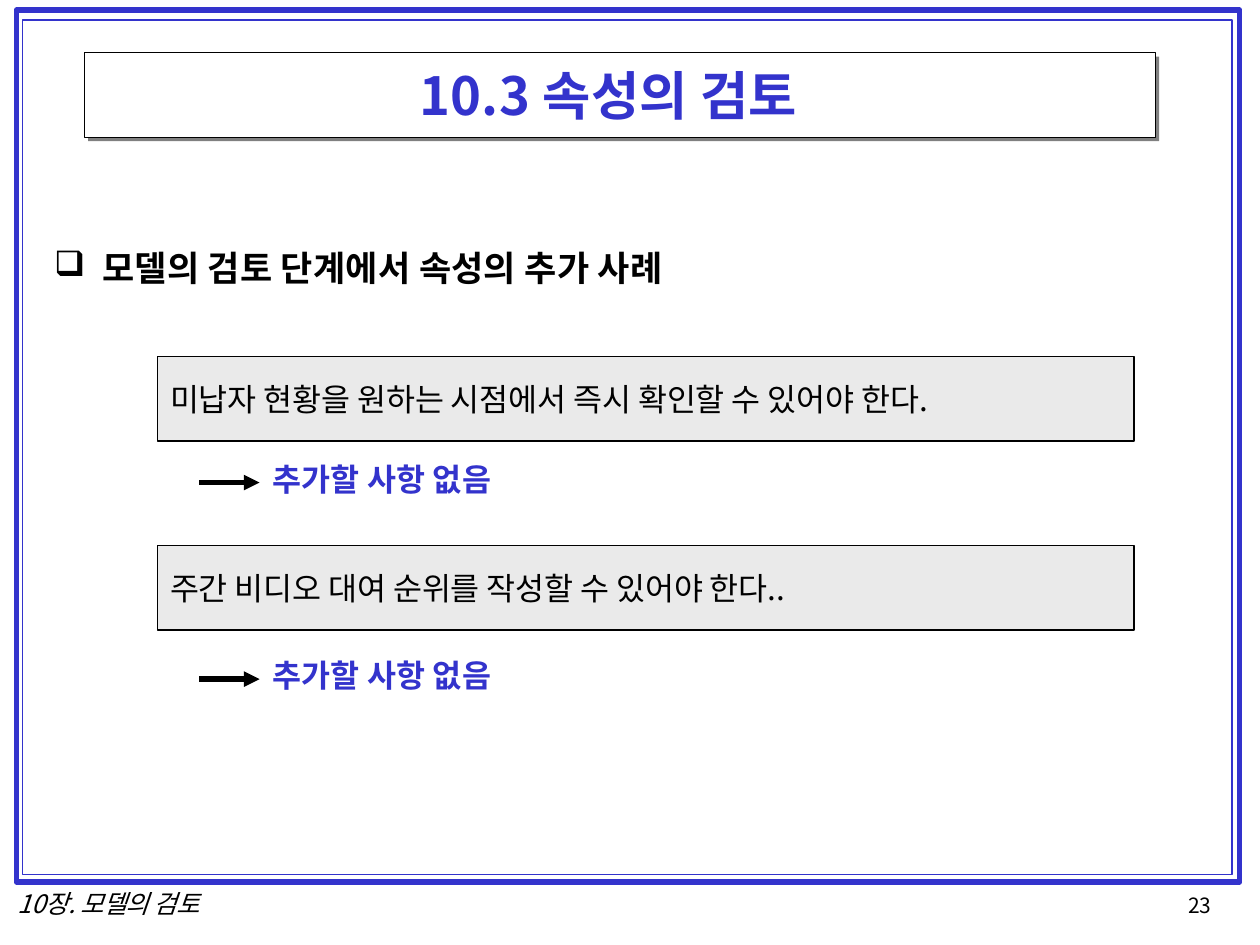
from pptx import Presentation
from pptx.util import Inches, Pt
from pptx.dml.color import RGBColor as RGB
from pptx.enum.shapes import MSO_SHAPE as Shape, MSO_CONNECTOR as Link
from pptx.enum.text import MSO_ANCHOR as Anchor, PP_ALIGN as Align
from pptx.oxml.ns import qn
from lxml.etree import SubElement as Sub

# Content
TITLE = "10.3 속성의 검토"
HEAD = "모델의 검토 단계에서 속성의 추가 사례"
# need, answer, top of the answer
CASES = [
    ("미납자 현황을 원하는 시점에서 즉시 확인할 수 있어야 한다.", "추가할 사항 없음", 3.65),
    ("주간 비디오 대여 순위를 작성할 수 있어야 한다..", "추가할 사항 없음", 5.21),
]
FOOT, PAGE = "10장. 모델의 검토", "23"

# Look
FONT = "Noto Sans CJK KR"
HEX = dict(blue="3333CC", black="000000", gray="808080", pale="EAEAEA", white="FFFFFF")
COLOR = {name: RGB.from_string(code) for name, code in HEX.items()}

# Layout, in inches
W, H = 10, 7.5
FRAMES = [((0.13, 0.08, 9.71, 6.92), 3), ((0.18, 0.16, 9.6, 6.78), 0.96)]
BAR = (0.67, 0.42, 8.5, 0.67)
DROP = 0.03
BOX_X, BOX_Y, BOX_W, BOX_H, STEP = 1.25, 2.83, 7.75, 0.67, 1.5
ARROW = (1.58, 2.06)

deck = Presentation()
deck.slide_width, deck.slide_height = Inches(W), Inches(H)
slide = deck.slides.add_slide(deck.slide_layouts[6])
shapes = slide.shapes


def rect(at, fill=None, line=None, width=0.72):
    box = shapes.add_shape(Shape.RECTANGLE, *map(Inches, at))
    box.shadow.inherit = False
    if fill:
        box.fill.solid()
        box.fill.fore_color.rgb = COLOR[fill]
    else:
        box.fill.background()
    if line:
        box.line.color.rgb = COLOR[line]
        box.line.width = Pt(width)
    else:
        box.line.fill.background()
    return box


def write(box, text, size, color="black", bold=False, italic=False,
          track=0, left=0, hang=0, before=0, lead=None, mark=None):
    frame = box.text_frame
    frame.word_wrap = True
    frame.margin_left = frame.margin_right = frame.margin_bottom = 0
    frame.margin_top = 0
    para = frame.paragraphs[0]
    para.text = text
    para.alignment = Align.LEFT
    para.space_before = Pt(before)
    if lead:
        para.line_spacing = Pt(lead)
    props = para._p.get_or_add_pPr()
    props.set("marL", str(Inches(left)))
    props.set("indent", str(Inches(hang)))
    if mark:
        Sub(props, qn("a:buChar"), char=mark)
    run = para.runs[0]
    font = run.font
    font.name, font.size = FONT, Pt(size)
    font.bold, font.italic = bold, italic
    font.color.rgb = COLOR[color]
    look = run._r.get_or_add_rPr()
    look.set("spc", str(round(track * 100)))
    Sub(look, qn("a:ea"), typeface=FONT)
    return frame


def label(at, text, size, **style):
    return write(shapes.add_textbox(*map(Inches, at)), text, size, **style)


def arrow(y):
    start, end = ARROW
    link = shapes.add_connector(
        Link.STRAIGHT, Inches(start), Inches(y), Inches(end), Inches(y))
    link.line.color.rgb = COLOR["black"]
    link.line.width = Pt(3)
    Sub(link.line._get_or_add_ln(), qn("a:tailEnd"), type="triangle")
    Sub(link._element.spPr, qn("a:effectLst"))


# Page frame
for at, width in FRAMES:
    rect(at, line="blue", width=width)

# Title bar with its hard shadow
x, y, w, h = BAR
rect((x + DROP, y + DROP, w, h), fill="gray")
rect(BAR, fill="white", line="black")
label((x, 0.5, w, 0.53), TITLE, 30, color="blue", bold=True,
      track=0.15, left=2.66, before=1)

# Heading
label((0.42, 1.96, 5.22, 0.36), HEAD, 20, bold=True, track=0.15,
      left=0.39, hang=-0.38, before=1, mark="❑")

# Needs and answers
for i, (need, answer, top) in enumerate(CASES):
    box = rect((BOX_X, BOX_Y + i * STEP, BOX_W, BOX_H), fill="pale", line="black")
    write(box, need, 18, left=0.1, track=-0.05).vertical_anchor = Anchor.MIDDLE
    arrow(top + 0.18)
    label((2.15, top, 1.91, 0.33), answer, 18, color="blue", bold=True,
          track=0.15, left=0.01, before=1)

# Footer
label((0.13, 7.06, 1.62, 0.23), FOOT, 14.5, italic=True, track=-0.4,
      left=0.01, lead=16.6)
label((9.39, 7.09, 0.29, 0.19), PAGE, 12, left=0.04, lead=13.7)

deck.save("out.pptx")
